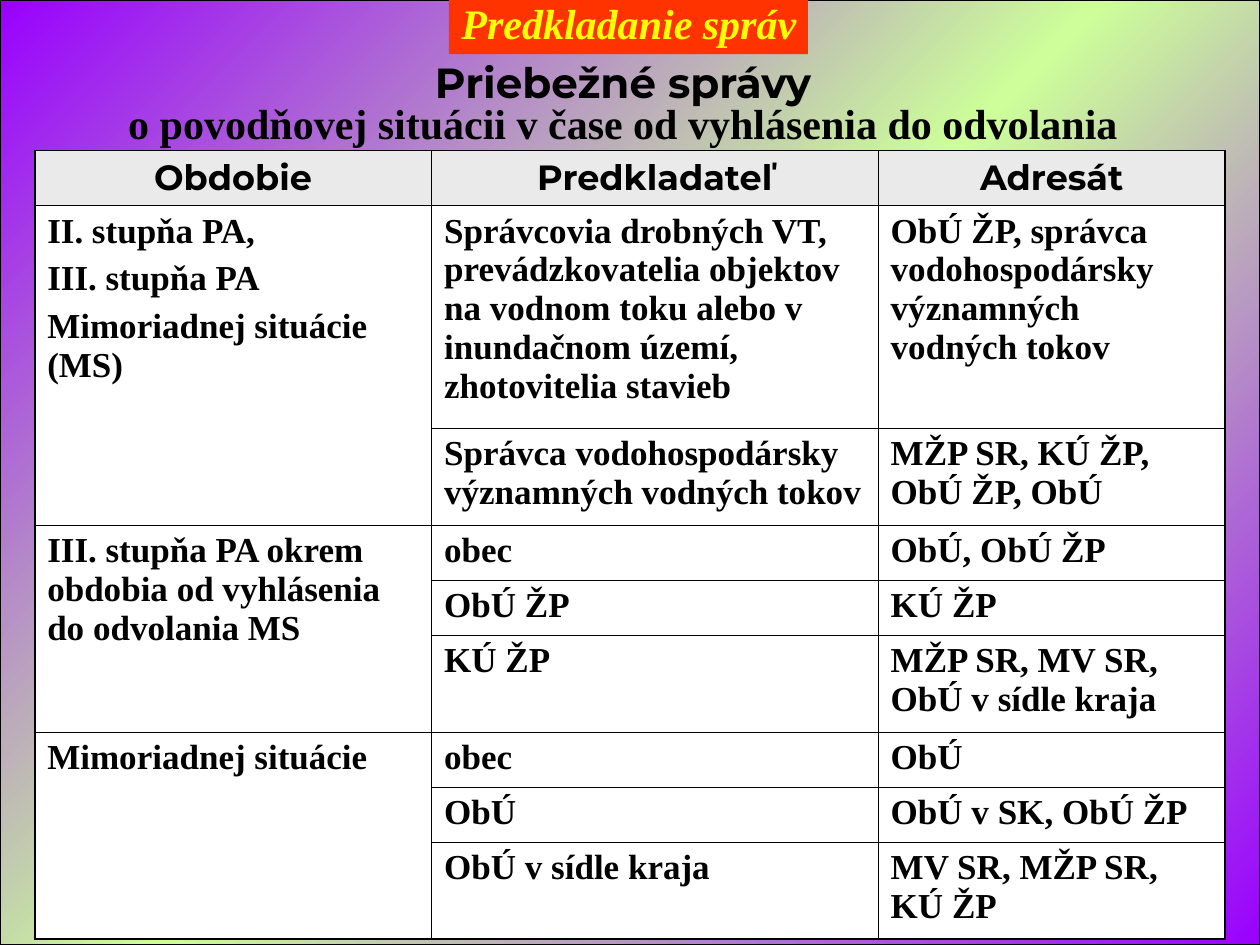
"""Build a slide with a table of interim flood reports, their submitters and addressees."""
from copy import deepcopy

from lxml import etree
from pptx import Presentation
from pptx.dml.color import RGBColor
from pptx.enum.shapes import MSO_SHAPE
from pptx.enum.text import MSO_ANCHOR, MSO_AUTO_SIZE, PP_ALIGN
from pptx.oxml.ns import qn
from pptx.util import Pt

RECTANGLE = MSO_SHAPE.RECTANGLE
TOP = MSO_ANCHOR.TOP
FIT_SHAPE, FIXED_SIZE = MSO_AUTO_SIZE.SHAPE_TO_FIT_TEXT, MSO_AUTO_SIZE.NONE
LEFT, CENTER = PP_ALIGN.LEFT, PP_ALIGN.CENTER

COLORS = {"violet": "9900FF", "lime": "CCFF99", "black": "000000", "white": "FFFFFF",
          "header": "EAEAEA", "banner": "FF3300", "yellow": "FFFF00"}
HEADING_FONT, BODY_FONT = "Montserrat", "Times New Roman"
THIN, THICK = 0.45, 1.08


def format_para(para, size, name, color, align):
    para.alignment = align
    for span in para.runs:
        span.font.size = Pt(size)
        span.font.name = name
        span.font.bold = True
        span.font.color.rgb = RGBColor.from_string(COLORS[color])


def add_border(cell, side, width):
    line = etree.SubElement(cell._tc.get_or_add_tcPr(), qn(f"a:ln{side}"), w=str(Pt(width)))
    fill = etree.SubElement(line, qn("a:solidFill"))
    etree.SubElement(fill, qn("a:srgbClr"), val=COLORS["black"])


deck = Presentation()
deck.slide_width, deck.slide_height = Pt(720), Pt(540)
page = deck.slides.add_slide(deck.slide_layouts[5])

backdrop = page.shapes.add_shape(RECTANGLE, 0, 0, Pt(720), Pt(540))
backdrop.shadow.inherit = False
backdrop.line.color.rgb = RGBColor.from_string(COLORS["black"])
backdrop.line.width = Pt(0.75)
backdrop.fill.gradient()
backdrop.fill.gradient_angle = 135
stop_list = backdrop.element.find(".//" + qn("a:gsLst"))
stop_list.insert(1, deepcopy(stop_list[0]))
for stop, position, color in zip(backdrop.fill.gradient_stops, (0, 0.5, 1),
                                 ("violet", "lime", "violet")):
    stop.position = position
    stop.color.rgb = RGBColor.from_string(COLORS[color])

heading = page.shapes.add_textbox(Pt(66.2), Pt(28.8), Pt(579.6), Pt(59))
heading.text_frame.text = "Priebežné správy\no povodňovej situácii v čase od vyhlásenia do odvolania"
heading.text_frame.word_wrap = False
heading.text_frame.auto_size = FIT_SHAPE
for para, name in zip(heading.text_frame.paragraphs, (HEADING_FONT, BODY_FONT)):
    format_para(para, 24, name, "black", CENTER)
heading.text_frame.paragraphs[1].line_spacing = 0.8

column_widths = [226.8, 255.2, 198.4]
row_heights = [31.4, 127.4, 55.4, 31.4, 31.4, 55.4, 31.4, 31.4, 55.4]
rows = [
    ("Obdobie", "Predkladateľ", "Adresát"),
    ("II. stupňa PA,\nIII. stupňa PA\nMimoriadnej situácie (MS)",
     "Správcovia drobných VT, prevádzkovatelia objektov na vodnom toku alebo v "
     "inundačnom území, zhotovitelia stavieb",
     "ObÚ ŽP, správca vodohospodársky významných\vvodných tokov"),
    ("", "Správca vodohospodársky významných vodných tokov", "MŽP SR, KÚ ŽP, ObÚ ŽP, ObÚ"),
    ("III. stupňa PA okrem obdobia od vyhlásenia do odvolania MS", "obec", "ObÚ, ObÚ ŽP"),
    ("", "ObÚ ŽP", "KÚ ŽP"),
    ("", "KÚ ŽP", "MŽP SR, MV SR, ObÚ v sídle kraja"),
    ("Mimoriadnej situácie", "obec", "ObÚ"),
    ("", "ObÚ", "ObÚ v SK, ObÚ ŽP"),
    ("", "ObÚ v sídle kraja", "MV SR, MŽP SR, KÚ ŽP"),
]
period_spans = {1: 2, 3: 5, 6: 8}
last_row, last_column = len(rows) - 1, len(column_widths) - 1
table = page.shapes.add_table(len(rows), len(column_widths), Pt(19.8), Pt(86),
                              Pt(sum(column_widths)), Pt(sum(row_heights))).table
table.first_row = False
table.horz_banding = False
for column, width in zip(table.columns, column_widths):
    column.width = Pt(width)
for row, height in zip(table.rows, row_heights):
    row.height = Pt(height)

for row_index, texts in enumerate(rows):
    is_header = row_index == 0
    for column_index, text in enumerate(texts):
        cell = table.cell(row_index, column_index)
        end_row = period_spans.get(row_index, row_index) if column_index == 0 else row_index
        outer_sides = {"L": column_index == 0, "R": column_index == last_column,
                       "T": is_header, "B": end_row == last_row}
        for side, is_outer in outer_sides.items():
            add_border(cell, side, THICK if is_outer else THIN)
        cell.fill.solid()
        cell.fill.fore_color.rgb = RGBColor.from_string(COLORS["header" if is_header else "white"])
        cell.text_frame.text = text
        for para_index, para in enumerate(cell.text_frame.paragraphs):
            format_para(para, 20, HEADING_FONT if is_header else BODY_FONT, "black",
                        CENTER if is_header else LEFT)
            if para_index:
                para.space_before = Pt(5)

for first, last in period_spans.items():
    table.cell(first, 0).merge(table.cell(last, 0))

banner = page.shapes.title
page.shapes.element.append(banner.element)
banner.left, banner.top, banner.width, banner.height = Pt(256.5), Pt(-5), Pt(205.2), Pt(36)
banner.fill.solid()
banner.fill.fore_color.rgb = RGBColor.from_string(COLORS["banner"])
banner.text_frame.text = "Predkladanie správ"
banner.text_frame.word_wrap = True
banner.text_frame.auto_size = FIXED_SIZE
banner.text_frame.vertical_anchor = TOP
banner.text_frame.margin_right = 0
format_para(banner.text_frame.paragraphs[0], 24, BODY_FONT, "yellow", LEFT)
banner.text_frame.paragraphs[0].runs[0].font.italic = True

deck.save("out.pptx")
